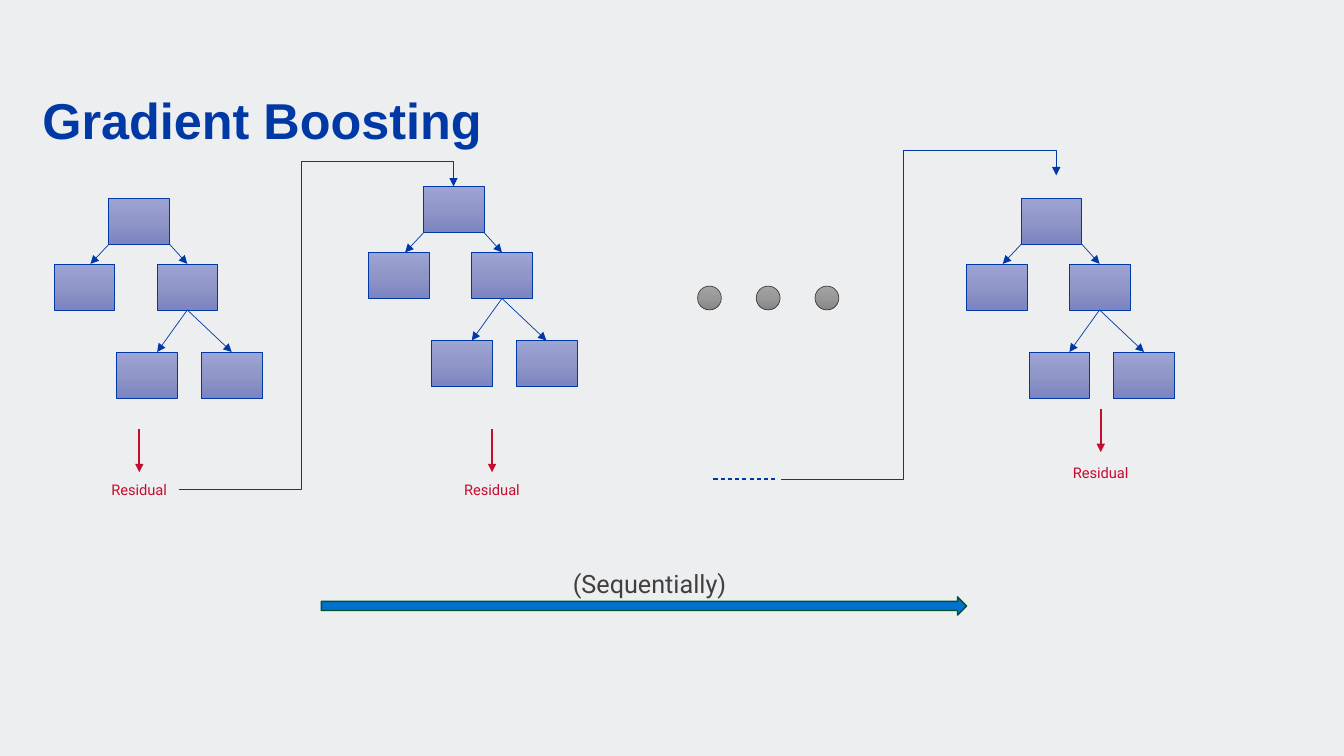
"""Build the Gradient Boosting slide: trees fitted in sequence on residuals."""
from copy import deepcopy

from pptx import Presentation
from pptx.dml.color import RGBColor
from pptx.enum import dml, shapes, text
from pptx.oxml.ns import qn
from pptx.util import Cm, Pt

TITLE = "Gradient Boosting"
SEQUENCE = "(Sequentially)"
RESIDUAL = "Residual"

COLORS = {
    "background": "EDEEEF",
    "blue": "0039A6",
    "red": "C60C30",
    "gray": "404041",
    "arrow": "0071CE",
    "arrow_edge": "005231",
}
NODE_SHADES = ["9DA3D2", "9096C8", "7C84C1"]
DOT_SHADES = ["A4A4A5", "989898", "868686"]

NODE_SIZE = (1.53, 1.16)
NODES = [(0, 0), (1.22, 1.66), (-1.38, 1.66), (2.34, 3.89), (0.2, 3.89)]
BRANCHES = [
    ((0, 1.17), (-0.46, 1.66)),
    ((1.52, 1.15), (1.98, 1.66)),
    ((1.98, 2.82), (1.22, 3.88)),
    ((1.98, 2.82), (3.1, 3.88)),
]
TREE_ROOTS = [(10.67, 4.7), (25.73, 4.99), (2.74, 4.99)]
RESIDUALS = [(3.51, 10.82, 11.99), (12.4, 10.82, 11.99), (27.74, 10.31, 11.56)]
RESIDUAL_DROP = 1.08
RESIDUAL_BOX = (1.98, 0.71)
FEEDBACKS = [((4.5, 12.34), (11.43, 4.7)), ((19.69, 12.07), (26.62, 4.42))]
FEEDBACK_BENDS = {"adj1": 44500, "adj2": 108300}
PENDING = ((17.98, 12.07), (19.53, 12.07))
DOT_START, DOT_STEP, DOT_SIZE, DOT_COUNT = (17.58, 7.21), 1.48, 0.6, 3


def color(name):
    return RGBColor.from_string(COLORS[name])


def cm(*lengths):
    return [Cm(length) for length in lengths]


def add_figure(parent, preset, box, edge, width):
    figure = parent.add_shape(preset, *cm(*box))
    figure.shadow.inherit = False
    figure.line.color.rgb = color(edge)
    figure.line.width = Pt(width)
    return figure


def shade(figure, shades):
    figure.fill.gradient()
    figure.fill.gradient_angle = 270
    stops = figure._element.spPr.find(".//" + qn("a:gsLst"))
    stops.insert(1, deepcopy(stops[0]))
    for stop, hue, position in zip(figure.fill.gradient_stops, shades, (0, 0.5, 1)):
        stop.color.rgb = RGBColor.from_string(hue)
        stop.position = position


def add_line(parent, start, end, hue, width, arrow=True,
             route=shapes.MSO_CONNECTOR.STRAIGHT):
    line = parent.add_connector(route, *cm(*start, *end))
    line.line.color.rgb = color(hue)
    line.line.width = Pt(width)
    if arrow:
        line.line._get_or_add_ln().append(
            line._element.makeelement(qn("a:tailEnd"), {"type": "triangle"}))
    properties = line._element.spPr
    properties.append(properties.makeelement(qn("a:effectLst"), {}))
    return line


def write(frame, words, size, font, hue, bold=False):
    run = frame.paragraphs[0].add_run()
    run.text = words
    run.font.size = Pt(size)
    run.font.name = font
    run.font.bold = bold
    run.font.color.rgb = color(hue)


def add_label(parent, box, words, size, hue):
    frame = parent.add_textbox(*cm(*box)).text_frame
    frame.word_wrap = True
    frame.auto_size = text.MSO_AUTO_SIZE.SHAPE_TO_FIT_TEXT
    frame.paragraphs[0].alignment = text.PP_ALIGN.CENTER
    write(frame, words, size, "Roboto", hue)


def add_title(slide):
    title = slide.shapes.title
    title.left, title.top, title.width, title.height = cm(1.07, 2.39, 31.75, 1.4)
    frame = title.text_frame
    frame.margin_left = frame.margin_right = frame.margin_top = frame.margin_bottom = 0
    frame.vertical_anchor = text.MSO_ANCHOR.BOTTOM
    frame.word_wrap = True
    frame.auto_size = text.MSO_AUTO_SIZE.SHAPE_TO_FIT_TEXT
    frame.paragraphs[0].alignment = text.PP_ALIGN.LEFT
    frame.paragraphs[0].line_spacing = 0.9
    write(frame, TITLE, 36, "Arial", "blue", bold=True)


def add_tree(canvas, root):
    def place(point):
        return root[0] + point[0], root[1] + point[1]

    tree = canvas.add_group_shape().shapes
    for offset in NODES:
        node = add_figure(tree, shapes.MSO_SHAPE.RECTANGLE,
                          (*place(offset), *NODE_SIZE), "blue", 0.5)
        shade(node, NODE_SHADES)
    for start, end in BRANCHES:
        add_line(tree, place(start), place(end), "blue", 0.5)


def add_feedback(canvas, start, end):
    feedback = add_line(canvas, start, end, "blue", 0.5,
                        route=shapes.MSO_CONNECTOR.ELBOW)
    geometry = feedback._element.spPr.find(qn("a:prstGeom"))
    geometry.set("prst", "bentConnector4")
    bends = geometry.find(qn("a:avLst"))
    for name, value in FEEDBACK_BENDS.items():
        bends.append(bends.makeelement(
            qn("a:gd"), {"name": name, "fmla": f"val {value}"}))


def main():
    deck = Presentation()
    deck.slide_width, deck.slide_height = cm(33.87, 19.05)
    slide = deck.slides.add_slide(deck.slide_layouts[5])
    slide.background.fill.solid()
    slide.background.fill.fore_color.rgb = color("background")
    canvas = slide.shapes
    add_title(slide)

    for root in TREE_ROOTS:
        add_tree(canvas, root)

    sequence = add_figure(canvas, shapes.MSO_SHAPE.RIGHT_ARROW,
                          (8.1, 15.04, 16.26, 0.46), "arrow_edge", 1)
    sequence.fill.solid()
    sequence.fill.fore_color.rgb = color("arrow")
    add_label(canvas, (12.27, 14.2, 8.2, 1.02), SEQUENCE, 18, "gray")

    for index in range(DOT_COUNT):
        dot = add_figure(canvas, shapes.MSO_SHAPE.OVAL,
                         (DOT_START[0] + index * DOT_STEP, DOT_START[1],
                          DOT_SIZE, DOT_SIZE), "gray", 0.5)
        shade(dot, DOT_SHADES)

    for center, top, label_top in RESIDUALS:
        add_line(canvas, (center, top), (center, top + RESIDUAL_DROP), "red", 1.5)
        add_label(canvas, (center - RESIDUAL_BOX[0] / 2, label_top, *RESIDUAL_BOX),
                  RESIDUAL, 10.5, "red")

    for start, end in FEEDBACKS:
        add_feedback(canvas, start, end)
    pending = add_line(canvas, *PENDING, "blue", 0.75, arrow=False)
    pending.line.dash_style = dml.MSO_LINE.DASH

    deck.save("out.pptx")


if __name__ == "__main__":
    main()
